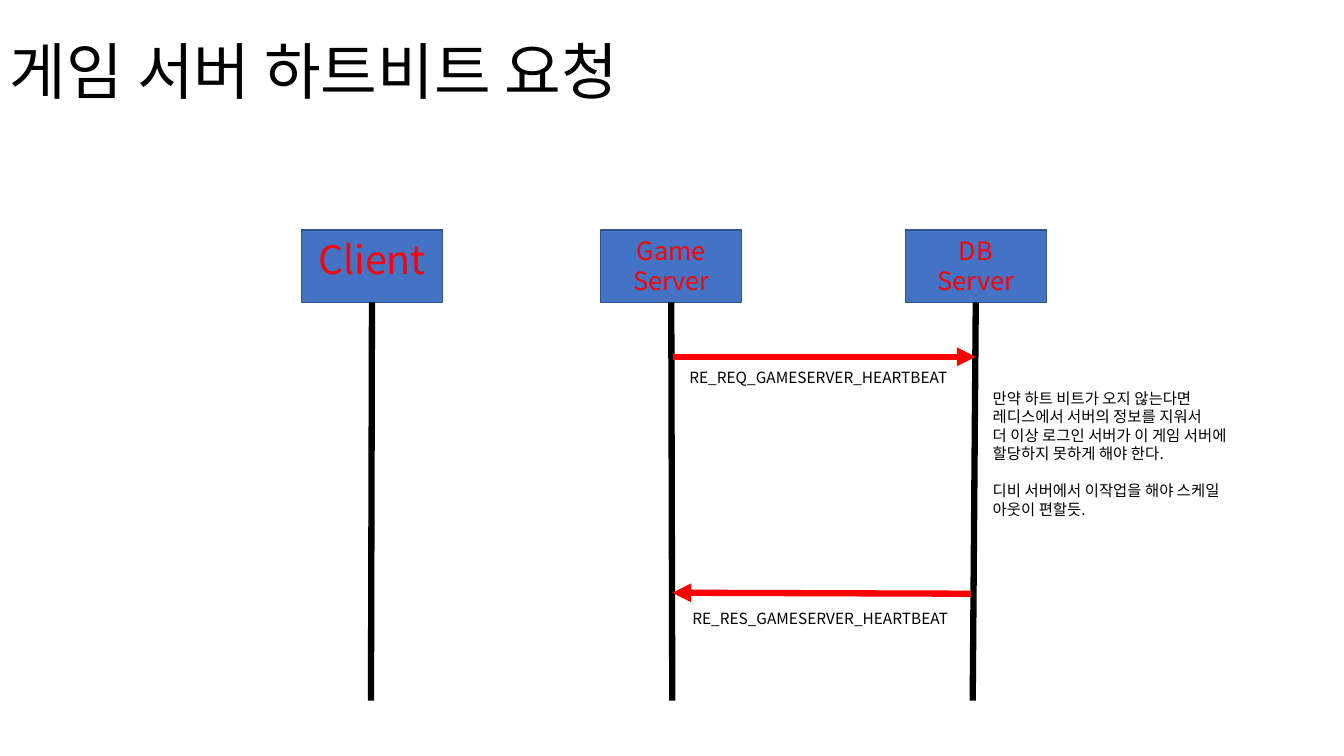
from dataclasses import dataclass
from lxml import etree
from pptx import Presentation
from pptx.dml.color import RGBColor
from pptx.enum.shapes import MSO_CONNECTOR, MSO_SHAPE
from pptx.enum.text import MSO_ANCHOR, PP_ALIGN
from pptx.oxml.ns import qn
from pptx.util import Pt

LINE = MSO_CONNECTOR.STRAIGHT
RECT = MSO_SHAPE.RECTANGLE
TOP, MIDDLE = MSO_ANCHOR.TOP, MSO_ANCHOR.MIDDLE
LEFT, CENTER = PP_ALIGN.LEFT, PP_ALIGN.CENTER


@dataclass(frozen=True)
class Theme:
    font: str = "Noto Sans CJK KR"
    black: RGBColor = RGBColor(0, 0, 0)
    red: RGBColor = RGBColor(255, 0, 0)
    blue: RGBColor = RGBColor(0x44, 0x72, 0xC4)
    edge: RGBColor = RGBColor(0x32, 0x54, 0x91)
    title: float = 44
    client: float = 28
    server: float = 18
    note: float = 11
    pitch: float = 1.2
    stroke: float = 4.5


@dataclass(frozen=True)
class Actor:
    name: str
    left: float
    foot: float
    size: float


@dataclass(frozen=True)
class Arrow:
    start: tuple[float, float]
    end: tuple[float, float]


@dataclass(frozen=True)
class Note:
    text: str
    left: float
    top: float
    height: float
    gaps: tuple[int, ...] = ()


THEME = Theme()
BOX_TOP, BOX_WIDTH, BOX_HEIGHT = 164.2, 100.8, 51.8
FOOT_TOP = 500.4
NOTE_WIDTH = 208.1

ACTORS = [
    Actor("Client", 215.3, 265, THEME.client),
    Actor("Game\nServer", 429.1, 480.2, THEME.server),
    Actor("DB\nServer", 646.6, 694.8, THEME.server),
]
ARROWS = [
    Arrow((693.4, 424.1), (480.2, 423.4)),
    Arrow((481, 254.9), (697, 254.9)),
]
NOTES = [
    Note("RE_REQ_GAMESERVER_HEARTBEAT", 485.3, 259.2, 20.9),
    Note("RE_RES_GAMESERVER_HEARTBEAT", 487.4, 431.3, 20.9),
    Note(
        "만약 하트 비트가 오지 않는다면\n"
        "레디스에서 서버의 정보를 지워서\n"
        "더 이상 로그인 서버가 이 게임 서버에\n"
        "할당하지 못하게 해야 한다.\n"
        "디비 서버에서 이작업을 해야 스케일 아웃이 편할듯.",
        702, 274.3, 100.8, (4,),
    ),
]


def write(shape, text: str, size: float, color: RGBColor, align=LEFT,
          anchor=TOP, pitch=None) -> None:
    frame = shape.text_frame
    frame.text = text
    frame.word_wrap = True
    frame.vertical_anchor = anchor
    for para in frame.paragraphs:
        para.alignment = align
        para.line_spacing = pitch or Pt(size * THEME.pitch)
        for run in para.runs:
            run.font.name = THEME.font
            run.font.size = Pt(size)
            run.font.color.rgb = color
            east = etree.Element(qn("a:ea"), typeface=THEME.font)
            run.font._element.find(qn("a:latin")).addnext(east)


def add_line(slide, start: tuple[float, float], end: tuple[float, float],
             color: RGBColor):
    link = slide.shapes.add_connector(LINE, *map(Pt, start + end))
    link.line.color.rgb = color
    link.line.width = Pt(THEME.stroke)
    etree.SubElement(link._element.spPr, qn("a:effectLst"))
    return link


def add_title(slide, text: str) -> None:
    box = slide.shapes.add_textbox(Pt(0), Pt(0.7), Pt(828), Pt(104.4))
    write(box, text, THEME.title, THEME.black, anchor=MIDDLE, pitch=0.9)


def add_actor(slide, actor: Actor) -> None:
    box = slide.shapes.add_shape(
        RECT, Pt(actor.left), Pt(BOX_TOP), Pt(BOX_WIDTH), Pt(BOX_HEIGHT))
    box.shadow.inherit = False
    box.fill.solid()
    box.fill.fore_color.rgb = THEME.blue
    box.line.color.rgb = THEME.edge
    box.line.width = Pt(1)
    write(box, actor.name, actor.size, THEME.red, CENTER)
    start = (actor.left + BOX_WIDTH / 2, BOX_TOP + BOX_HEIGHT)
    life = add_line(slide, start, (actor.foot, FOOT_TOP), THEME.black)
    life.begin_connect(box, 2)


def add_arrow(slide, arrow: Arrow) -> None:
    link = add_line(slide, arrow.start, arrow.end, THEME.red)
    etree.SubElement(link.line._get_or_add_ln(), qn("a:tailEnd"),
                     type="triangle")


def add_note(slide, note: Note) -> None:
    box = slide.shapes.add_textbox(
        Pt(note.left), Pt(note.top), Pt(NOTE_WIDTH), Pt(note.height))
    write(box, note.text, THEME.note, THEME.black)
    for index in note.gaps:
        para = box.text_frame.paragraphs[index]
        para.space_before = Pt(THEME.note * THEME.pitch)


def main() -> None:
    deck = Presentation()
    deck.slide_width, deck.slide_height = Pt(960), Pt(540)
    slide = deck.slides.add_slide(deck.slide_layouts[6])
    add_title(slide, "게임 서버 하트비트 요청")
    for actor in ACTORS:
        add_actor(slide, actor)
    for arrow in ARROWS:
        add_arrow(slide, arrow)
    for note in NOTES:
        add_note(slide, note)
    deck.save("out.pptx")


if __name__ == "__main__":
    main()
